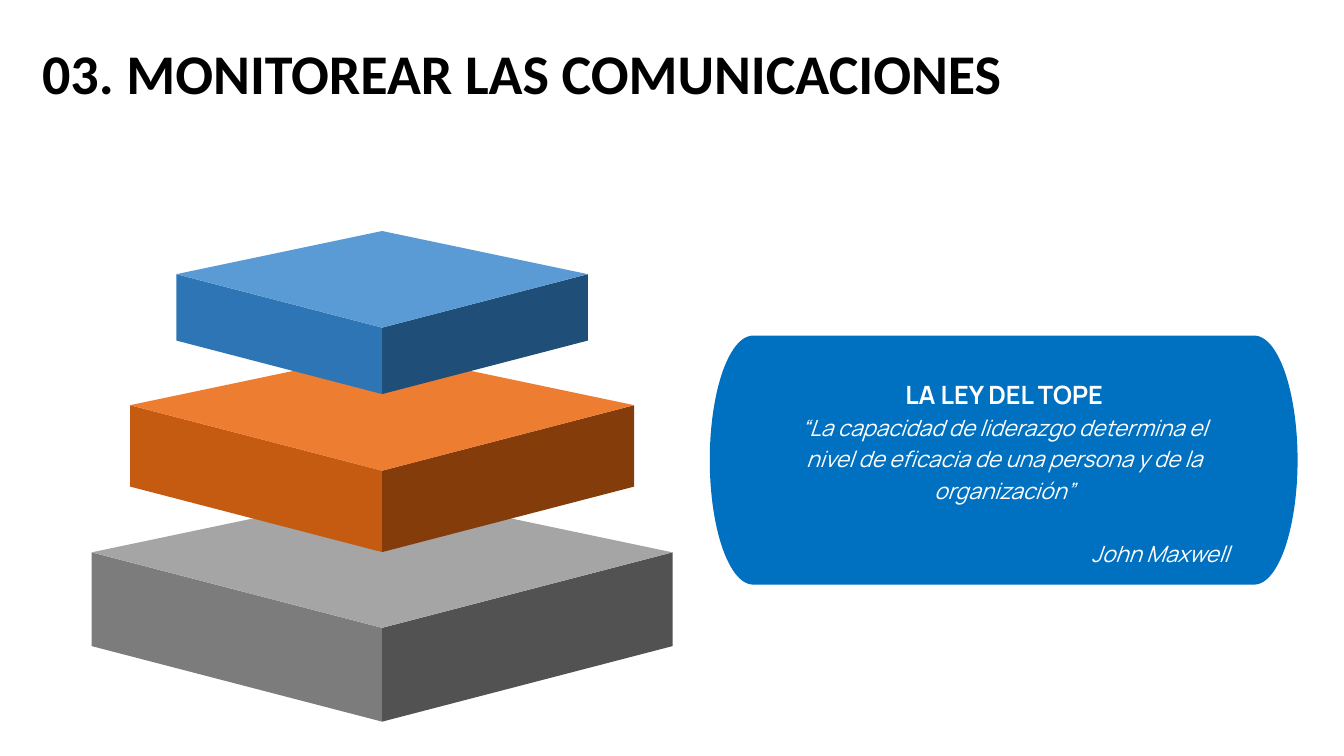
import math
from pptx import Presentation
from pptx.dml.color import RGBColor
from pptx.enum import text
from pptx.util import Inches, Pt

BLACK = RGBColor(0x00, 0x00, 0x00)
WHITE = RGBColor(0xFF, 0xFF, 0xFF)
BLUE = RGBColor(0x00, 0x70, 0xC0)
# Tier colours: left face, right face, top face
GRAYS = [RGBColor(0x7C, 0x7C, 0x7C), RGBColor(0x52, 0x52, 0x52), RGBColor(0xA5, 0xA5, 0xA5)]
RUSTS = [RGBColor(0xC5, 0x5A, 0x11), RGBColor(0x84, 0x3C, 0x0B), RGBColor(0xED, 0x7D, 0x31)]
BLUES = [RGBColor(0x2E, 0x75, 0xB6), RGBColor(0x1F, 0x4E, 0x79), RGBColor(0x5B, 0x9B, 0xD5)]


def draw(home, points, color):
    points = [(Inches(x), Inches(y)) for x, y in points]
    pen = home.build_freeform(*points[0], scale=1.0)
    pen.add_line_segments(points[1:], close=True)
    shape = pen.convert_to_shape()
    shape.shadow.inherit = False
    shape.fill.solid()
    shape.fill.fore_color.rgb = color
    shape.line.fill.background()


def write(para, words, font, size, color, bold=False, slant=False):
    run = para.add_run()
    run.text = words
    run.font.name = font
    run.font.size = Pt(size)
    run.font.color.rgb = color
    run.font.bold = bold
    run.font.italic = slant


deck = Presentation()
deck.slide_width, deck.slide_height = Inches(13.33), Inches(7.5)
slide = deck.slides.add_slide(deck.slide_layouts[6])

# Stacked tiers, bottom to top; each block keeps the same proportions
stack = slide.shapes.add_group_shape()
mid = 3.79
for half, edge, colors in [(2.88, 5.48, GRAYS), (2.5, 4.02, RUSTS), (2.04, 2.72, BLUES)]:
    back, front, thick = edge - 0.21 * half, edge + 0.26 * half, 0.323 * half
    for side, color in zip((-1, 1), colors):
        end = mid + side * half
        draw(stack.shapes, [(end, edge), (mid, front), (mid, front + thick),
                            (end, edge + thick)], color)
    draw(stack.shapes, [(mid - half, edge), (mid, back), (mid + half, edge),
                        (mid, front)], colors[2])

# Quote panel with half-ellipse ends
panel = []
for x, side, start in [(12.44, 1, -90), (7.47, -1, 90)]:
    for step in range(0, 181, 3):
        angle = math.radians(start + step)
        panel.append((x + 0.43 * math.cos(angle), 4.565 + 1.235 * math.sin(angle)))
draw(slide.shapes, panel, BLUE)

# Quote
quote = slide.shapes.add_textbox(Inches(7.68), Inches(3.69), Inches(4.56), Inches(1.99))
frame = quote.text_frame
frame.word_wrap = True
frame.auto_size = text.MSO_AUTO_SIZE.SHAPE_TO_FIT_TEXT
frame.vertical_anchor = text.MSO_ANCHOR.MIDDLE
frame.margin_left = frame.margin_right = Inches(0.05)
frame.margin_top = frame.margin_bottom = Inches(0.03)
lines = [
    ("LA LEY DEL TOPE", 18, True, text.PP_ALIGN.CENTER, 0),
    ("“La capacidad de liderazgo determina el nivel de eficacia de una persona "
     "y de la organización”", 16, False, text.PP_ALIGN.CENTER, 0),
    ("John Maxwell", 16, False, text.PP_ALIGN.RIGHT, 22.5),
]
for i, (words, size, bold, align, gap) in enumerate(lines):
    para = frame.add_paragraph() if i else frame.paragraphs[0]
    para.alignment = align
    para.line_spacing = Pt(22.5)
    para.space_before = Pt(gap)
    write(para, words, "Manrope", size, WHITE, bold, not bold)

# Title
title = slide.shapes.add_textbox(Inches(0.32), Inches(0.41), Inches(9.93), Inches(0.79))
title.text_frame.word_wrap = True
para = title.text_frame.paragraphs[0]
para.line_spacing = 0.9
write(para, "03. MONITOREAR LAS COMUNICACIONES", "Calibri", 40, BLACK, bold=True)

deck.save("out.pptx")
